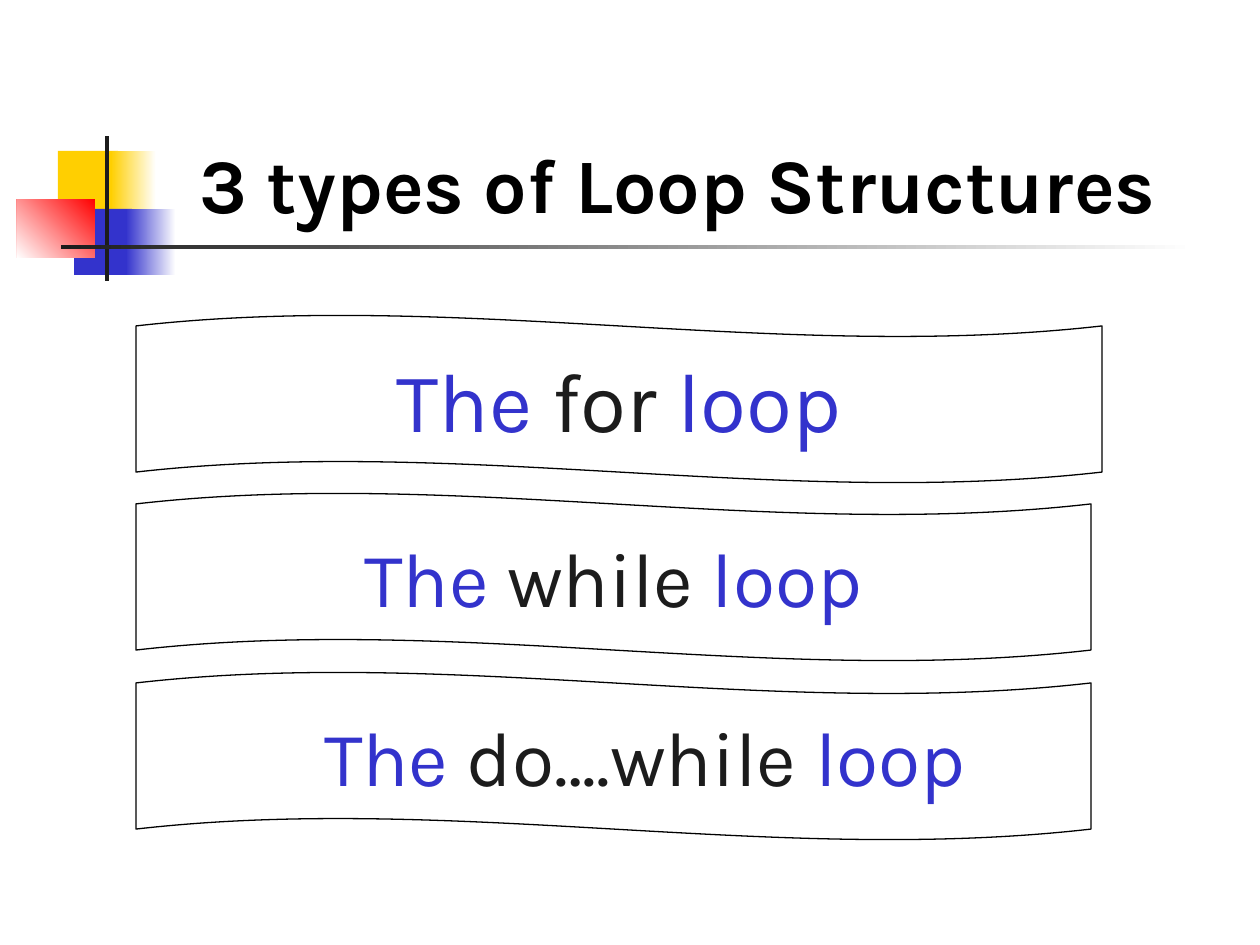
from pptx import Presentation
from pptx.dml.color import RGBColor
from pptx.enum.shapes import MSO_SHAPE
from pptx.enum.text import MSO_ANCHOR, MSO_AUTO_SIZE, PP_ALIGN
from pptx.util import Emu, Pt

RECTANGLE, WAVE = MSO_SHAPE.RECTANGLE, MSO_SHAPE.WAVE
TOP, MIDDLE = MSO_ANCHOR.TOP, MSO_ANCHOR.MIDDLE
LEFT, CENTER = PP_ALIGN.LEFT, PP_ALIGN.CENTER
NO_AUTOFIT = MSO_AUTO_SIZE.NONE

PX_PER_INCH = 126
TITLE_ONLY = 5
WHITE, BLACK, DARK = "FFFFFF", "000000", "1C1C1C"
YELLOW, BLUE, RED = "FFCF01", "3333CC", "FF0000"


def px(length):
    return Emu(round(length * 914400 / PX_PER_INCH))


def color(hex_string):
    return RGBColor.from_string(hex_string)


class SlideBuilder:
    """Holds the font and the current page."""

    def __init__(self, page, font="Karla"):
        self.page = page
        self.font = font

    def add_span(self, para, text, size=44, ink=BLACK, bold=False):
        span = para.add_run()
        span.text = text
        span.font.name = self.font
        span.font.size = Pt(size)
        span.font.bold = bold
        span.font.color.rgb = color(ink)

    def title(self, text, left, top, width, height, **style):
        box = self.page.shapes.title
        box.left, box.top = px(left), px(top)
        box.width, box.height = px(width), px(height)
        frame = box.text_frame
        frame.auto_size = NO_AUTOFIT
        frame.vertical_anchor = TOP
        para = frame.paragraphs[0]
        para.alignment = LEFT
        self.add_span(para, text, **style)

    def shape(self, kind, left, top, width, height):
        shape = self.page.shapes.add_shape(
            kind, px(left), px(top), px(width), px(height))
        shape.shadow.inherit = False
        return shape

    def block(self, left, top, width, height, fill, fade_to=None, angle=0):
        """Draw a borderless rectangle; with fade_to, fill blends into it
        along angle (counter-clockwise degrees)."""
        block = self.shape(RECTANGLE, left, top, width, height)
        block.line.fill.background()
        if fade_to is None:
            block.fill.solid()
            block.fill.fore_color.rgb = color(fill)
            return
        block.fill.gradient()
        block.fill.gradient_angle = angle
        for stop, shade in zip(block.fill.gradient_stops, (fill, fade_to)):
            stop.color.rgb = color(shade)

    def banner(self, left, top, width, height, keyword, size, indent=0):
        """Draw a wavy outline naming one loop, its keyword in dark ink."""
        banner = self.shape(WAVE, left, top, width, height)
        banner.adjustments[0] = 0.065
        banner.fill.background()
        banner.line.color.rgb = color(BLACK)
        banner.line.width = Pt(0.75)
        frame = banner.text_frame
        frame.word_wrap = False
        frame.vertical_anchor = MIDDLE
        para = frame.paragraphs[0]
        para.alignment = CENTER
        if indent:
            properties = para._p.get_or_add_pPr()
            properties.set("marL", str(px(indent)))
            properties.set("indent", "0")
        for text, ink in (("The ", BLUE), (f"{keyword} ", DARK), ("loop", BLUE)):
            self.add_span(para, text, size=size, ink=ink)


def main():
    deck = Presentation()
    deck.slide_width, deck.slide_height = px(1260), px(945)
    page = deck.slides.add_slide(deck.slide_layouts[TITLE_ONLY])
    builder = SlideBuilder(page)

    builder.block(58, 151, 60, 66, YELLOW)
    builder.block(111, 151, 45, 66, WHITE, fade_to=YELLOW, angle=180)
    builder.block(74, 209, 58, 66, BLUE)
    builder.block(126, 209, 50, 66, WHITE, fade_to=BLUE, angle=180)
    builder.block(17, 199, 78, 59, RED, fade_to=WHITE, angle=225)
    builder.block(105, 136, 4, 145, DARK)
    builder.block(61, 245, 1134, 4, WHITE, fade_to=DARK, angle=180)

    builder.title("3 types of Loop Structures", 187, 130, 1043, 106, bold=True)

    loops = (("for", 966, 48, 0), ("while", 955, 44, 0), ("do….while", 955, 44, 63))
    for row, (keyword, width, size, indent) in enumerate(loops):
        builder.banner(136, 315 + row * 357 // 2, width, 168, keyword, size, indent)

    deck.save("out.pptx")


if __name__ == "__main__":
    main()
